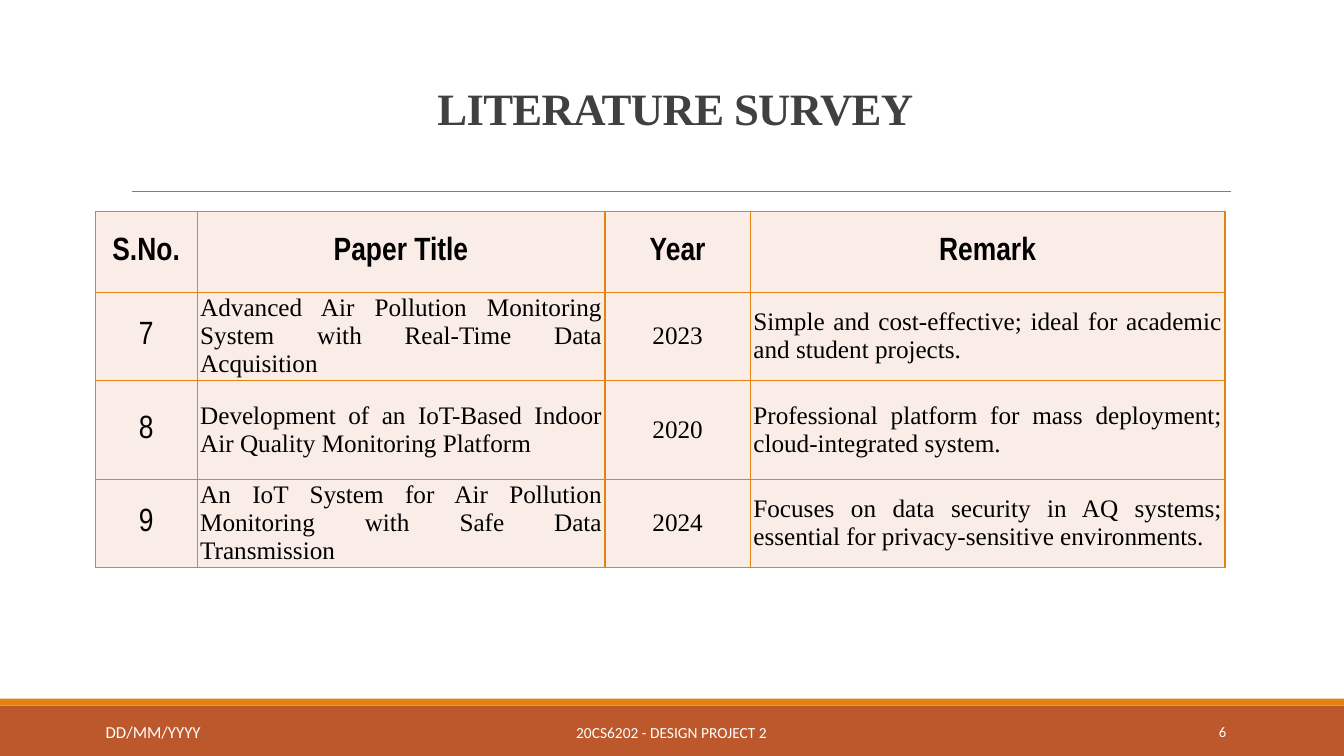
from dataclasses import dataclass

from lxml.etree import SubElement as Sub
from pptx import Presentation as Deck
from pptx.dml.color import RGBColor as Color
from pptx.enum.shapes import MSO_CONNECTOR as Link, MSO_SHAPE as Kind
from pptx.enum.text import MSO_ANCHOR as Anchor, PP_ALIGN as Align
from pptx.oxml.ns import qn
from pptx.util import Pt


@dataclass(frozen=True)
class Theme:
    rust: str = "BD582C"
    gold: str = "E48312"
    blush: str = "FAEDE7"
    grey: str = "808080"
    dark: str = "404040"
    black: str = "000000"
    white: str = "FFFFFF"
    serif: str = "Times New Roman"
    narrow: str = "Arial Narrow"
    sans: str = "Calibri"
    title: float = 32
    head: float = 23
    body: float = 18
    date: float = 12
    course: float = 11
    page: float = 10.5


@dataclass(frozen=True)
class Box:
    left: float
    top: float
    width: float
    height: float

    def size(self) -> tuple:
        return Pt(self.left), Pt(self.top), Pt(self.width), Pt(self.height)


@dataclass(frozen=True)
class Band:
    box: Box
    fill: str


@dataclass(frozen=True)
class Note:
    box: Box
    text: str
    size: float
    align: Align


@dataclass(frozen=True)
class Paper:
    num: str
    name: str
    year: str
    remark: str


LOOK = Theme()
WIDE, HIGH = 960, 540
BANDS = (
    Band(Box(0, 504, WIDE, 36), LOOK.rust),
    Band(Box(0, 499, WIDE, 5), LOOK.gold),
)
NOTES = (
    Note(Box(290, 508.5, 379.5, 28.75), "20CS6202 - DESIGN PROJECT 2", LOOK.course, Align.CENTER),
    Note(Box(780, 508.5, 103, 28.75), "6", LOOK.page, Align.RIGHT),
    Note(Box(68.4, 512, 186.5, 21.8), "DD/MM/YYYY", LOOK.date, Align.LEFT),
)
HEADS = ("S.No.", "Paper Title", "Year", "Remark")
PAPERS = (
    Paper("7", "Advanced Air Pollution Monitoring System with Real-Time Data Acquisition",
          "2023", "Simple and cost-effective; ideal for academic and student projects."),
    Paper("8", "Development of an IoT-Based Indoor Air Quality Monitoring Platform",
          "2020", "Professional platform for mass deployment; cloud-integrated system."),
    Paper("9", "An IoT System for Air Pollution Monitoring with Safe Data Transmission",
          "2024", "Focuses on data security in AQ systems; essential for privacy-sensitive environments."),
)
COLS = (72.8, 291.4, 103.8, 339)
ROWS = (57.6, 57.6, 71, 57.6)


def write(frame, text: str, *, font: str, size: float, color: str, bold: bool = False,
          align: Align = Align.LEFT, space: float = 1, track: int = 0) -> None:
    line = frame.paragraphs[0]
    line.alignment = align
    line.line_spacing = space
    run = line.add_run()
    run.text = text
    run.font.name = font
    run.font.size = Pt(size)
    run.font.bold = bold
    run.font.color.rgb = Color.from_string(color)
    if track:
        run._r.get_or_add_rPr().set("spc", str(track))


def add_band(slide, band: Band) -> None:
    shape = slide.shapes.add_shape(Kind.RECTANGLE, *band.box.size())
    shape.shadow.inherit = False
    shape.fill.solid()
    shape.fill.fore_color.rgb = Color.from_string(band.fill)
    shape.line.fill.background()


def add_rule(slide) -> None:
    rule = slide.shapes.add_connector(Link.STRAIGHT, Pt(94.3), Pt(136.8), Pt(879), Pt(136.8))
    rule.line.color.rgb = Color.from_string(LOOK.grey)
    rule.line.width = Pt(0.5)
    Sub(rule._element.spPr, qn("a:effectLst"))


def add_note(slide, note: Note) -> None:
    frame = slide.shapes.add_textbox(*note.box.size()).text_frame
    frame.word_wrap = True
    frame.vertical_anchor = Anchor.MIDDLE
    write(frame, note.text, font=LOOK.sans, size=note.size, color=LOOK.white, align=note.align)


def set_title(slide) -> None:
    title = slide.shapes.title
    title.left, title.top, title.width, title.height = Box(86.4, 22.3, 792, 114.5).size()
    title.text_frame.vertical_anchor = Anchor.MIDDLE
    write(title.text_frame, "LITERATURE SURVEY", font=LOOK.serif, size=LOOK.title,
          color=LOOK.dark, bold=True, align=Align.CENTER, space=0.85, track=-50)


def style(cell) -> None:
    cell.vertical_anchor = Anchor.MIDDLE
    cell.margin_left = cell.margin_right = Pt(2.2)
    cell.margin_top = cell.margin_bottom = Pt(1.4)
    props = cell._tc.get_or_add_tcPr()
    for side in ("lnL", "lnR", "lnT", "lnB"):
        edge = Sub(props, qn(f"a:{side}"), w=str(Pt(1)))
        Sub(Sub(edge, qn("a:solidFill")), qn("a:srgbClr"), val=LOOK.gold)
    cell.fill.solid()
    cell.fill.fore_color.rgb = Color.from_string(LOOK.blush)


def add_grid(slide) -> None:
    box = Box(68, 151.3, sum(COLS), sum(ROWS))
    grid = slide.shapes.add_table(len(ROWS), len(COLS), *box.size()).table
    grid.horz_banding = False
    for col, width in zip(grid.columns, COLS):
        col.width = Pt(width)
    for row, height in zip(grid.rows, ROWS):
        row.height = Pt(height)
    data = [HEADS] + [(p.num, p.name, p.year, p.remark) for p in PAPERS]
    for i, row in enumerate(data):
        for j, text in enumerate(row):
            cell = grid.cell(i, j)
            style(cell)
            large = i == 0 or j == 0
            prose = i > 0 and j in (1, 3)
            write(cell.text_frame, text, color=LOOK.black, bold=i == 0,
                  font=LOOK.narrow if large else LOOK.serif,
                  size=LOOK.head if large else LOOK.body,
                  align=Align.JUSTIFY if prose else Align.CENTER)


def main() -> None:
    deck = Deck()
    deck.slide_width, deck.slide_height = Pt(WIDE), Pt(HIGH)
    slide = deck.slides.add_slide(deck.slide_layouts[5])
    for band in BANDS:
        add_band(slide, band)
    add_rule(slide)
    add_grid(slide)
    set_title(slide)
    for note in NOTES:
        add_note(slide, note)
    deck.save("out.pptx")


if __name__ == "__main__":
    main()
